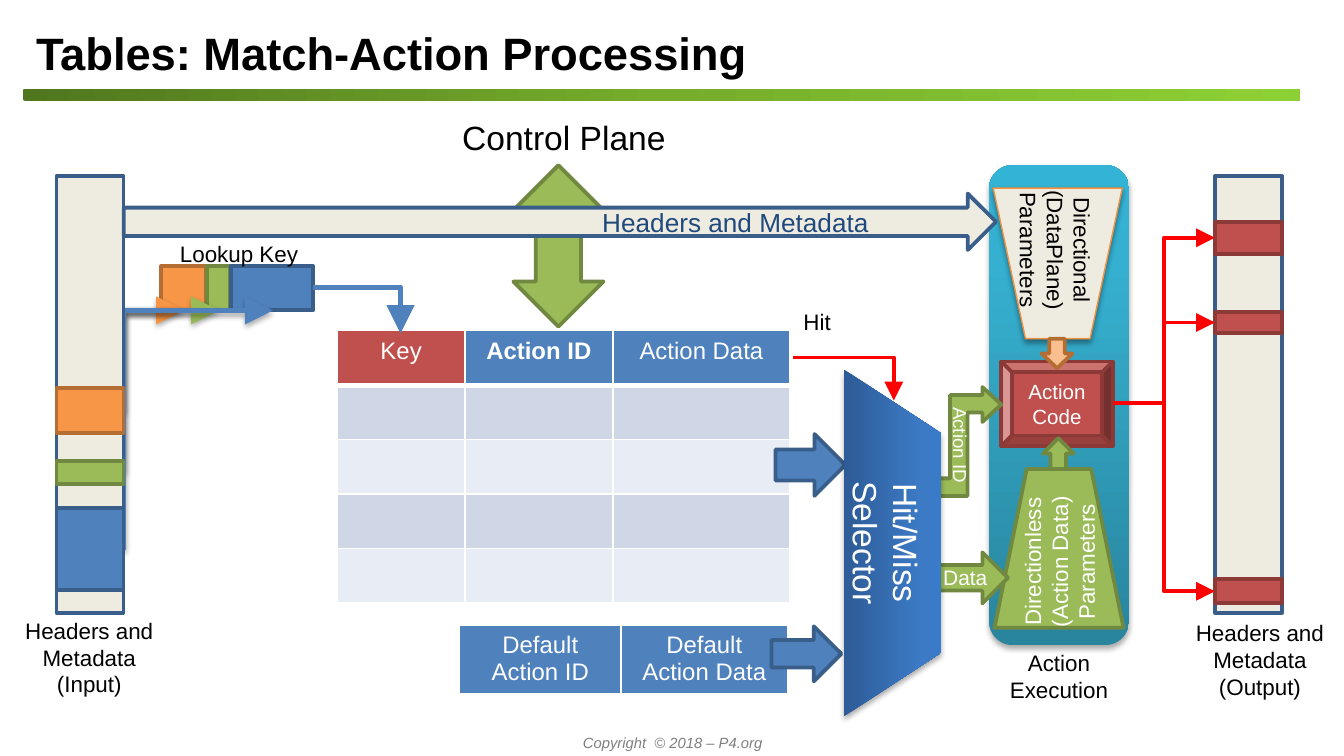
from copy import deepcopy

from lxml import etree
from pptx import Presentation
from pptx import util as u
from pptx.dml.color import RGBColor
from pptx.enum import shapes, text
from pptx.oxml.ns import qn

KIND = shapes.MSO_SHAPE
ALIGN = text.PP_ALIGN
CREAM, BLUE, GREEN = "EEECE1", "4F81BD", "9BBB59"
ORANGE, RED, PEACH = "F79646", "C0504D", "FABF8E"
WHITE, BLACK, ARROW = "FFFFFF", "000000", "FF0000"
EDGE = {CREAM: "395E89", BLUE: "395E89", GREEN: "718840",
        ORANGE: "B46D33", RED: "8C3A38", PEACH: "B46D33"}
PAD = (0.1, 0.05, 0.1, 0.05)
BARE = (0, 0, 0, 0)


def cm(*vals):
    """Lengths on the 10-inch grid, as a list of Cm."""
    return [u.Cm(2.54 * v) for v in vals]


def hue(code):
    return RGBColor.from_string(code)


def sub(node, tag, **attrs):
    return etree.SubElement(node, qn(tag), {k: str(v) for k, v in attrs.items()})


def style(par, size, color, bold=False, italic=False, align=ALIGN.CENTER):
    par.alignment = align
    font = par.font
    font.name, font.size = "Arial", u.Pt(size)
    font.bold, font.italic = bold, italic
    font.color.rgb = hue(color)


def write(item, words, size, color=BLACK, pad=PAD, mid=True, **look):
    frame = item.text_frame
    frame.word_wrap = True
    frame.vertical_anchor = text.MSO_ANCHOR.MIDDLE if mid else text.MSO_ANCHOR.TOP
    (frame.margin_left, frame.margin_top,
     frame.margin_right, frame.margin_bottom) = cm(*pad)
    frame.text = words
    for par in frame.paragraphs:
        style(par, size, color, **look)
    return frame


def label(slide, box, words, size=12, color=BLACK, turn=0, mid=False, **look):
    item = slide.shapes.add_textbox(*cm(*box))
    item.rotation = turn
    return write(item, words, size, color, mid=mid, **look)


def shade(node, alpha=33, dist=1.8):
    """Soft shadow that falls straight down."""
    drop = sub(node, "a:outerShdw", blurRad=u.Pt(3.1), dist=u.Pt(dist),
               dir=5400000, rotWithShape=0)
    sub(sub(drop, "a:srgbClr", val=BLACK), "a:alpha", val=alpha * 1000)


def cast(item, **opts):
    shade(item._element.spPr.find(qn("a:effectLst")), **opts)


def paint(item, fill, edge=None, width=2):
    item.shadow.inherit = False
    item.fill.solid()
    item.fill.fore_color.rgb = hue(fill)
    item.line.color.rgb = hue(edge or EDGE[fill])
    item.line.width = u.Pt(width)


def shape(slide, kind, box, fill, turn=0, adj=(), **line):
    item = slide.shapes.add_shape(kind, *cm(*box))
    item.rotation = turn
    for i, val in enumerate(adj):
        item.adjustments[i] = val
    paint(item, fill, **line)
    return item


def blend(slide, kind, box, stops, angle, **opts):
    """Borderless shape with a three-stop gradient."""
    item = shape(slide, kind, box, BLUE, **opts)
    item.line.fill.background()
    item.fill.gradient()
    item.fill.gradient_angle = angle
    row = item._element.spPr.find(qn("a:gradFill")).find(qn("a:gsLst"))
    row.insert(1, deepcopy(row[0]))
    for stop, (pos, color) in zip(item.fill.gradient_stops, stops):
        stop.position = pos
        stop.color.rgb = hue(color)
    return item


def elbow(slide, start, end, color, width, bends=2, rise=False, soft=False):
    """Bent arrow; with rise it goes up first, then right."""
    (x1, y1), (x2, y2) = start, end
    if rise:
        mx, my = (x1 + x2) / 2, (y1 + y2) / 2
        dx, dy = (y1 - y2) / 2, (x2 - x1) / 2
        x1, y1, x2, y2 = mx - dx, my - dy, mx + dx, my + dy
    line = slide.shapes.add_connector(shapes.MSO_CONNECTOR.ELBOW, *cm(x1, y1, x2, y2))
    line.line.color.rgb = hue(color)
    line.line.width = u.Pt(width)
    prop = line._element.spPr
    if bends == 1:
        prop.find(qn("a:prstGeom")).set("prst", "bentConnector2")
    if rise:
        prop.find(qn("a:xfrm")).set("rot", "16200000")
    sub(prop.find(qn("a:ln")), "a:tailEnd", type="triangle", w="lg", len="lg")
    node = sub(prop, "a:effectLst")
    if soft:
        shade(node)


def border(cell, low):
    prop = cell._tc.get_or_add_tcPr()
    for i, (tag, width) in enumerate([("a:lnL", 1), ("a:lnR", 1), ("a:lnT", 1), ("a:lnB", low)]):
        line = sub(prop, tag, w=u.Pt(width))
        sub(sub(line, "a:solidFill"), "a:srgbClr", val=WHITE)
        prop.insert(i, line)


def grid(slide, left, top, cols, heads, fills, bold=""):
    """Table with one head row; fills holds the colours of each row."""
    high = u.Cm(1.03)
    frame = slide.shapes.add_table(len(fills), len(cols),
                                   *cm(left, top, sum(cols)), high * len(fills))
    table = frame.table
    table.horz_banding = table.first_row = False
    for col, wide in zip(table.columns, cols):
        col.width = cm(wide)[0]
    for r, row in enumerate(fills):
        table.rows[r].height = high
        for c, color in enumerate(row):
            cell = table.cell(r, c)
            cell.fill.solid()
            cell.fill.fore_color.rgb = hue(color)
            border(cell, 1 if r else 3)
            if r == 0:
                cell.text = heads[c]
                style(cell.text_frame.paragraphs[0], 12.8, WHITE, bold=heads[c] == bold)


def stack(slide, left, name, spot, bands):
    """Column of header data with its bands and its caption."""
    label(slide, (*spot, 1.17, 0.71), "Headers and Metadata\n" + name)
    shape(slide, KIND.RECTANGLE, (left, 1.31, 0.5, 3.25), CREAM)
    for y, high, color in bands:
        shape(slide, KIND.RECTANGLE, (left, y, 0.5, high), color)


def action(slide):
    panel = blend(slide, KIND.ROUNDED_RECTANGLE, (7.36, 1.23, 1.04, 3.57),
                  [(0, "29859E"), (0.8, "36B0D0"), (1, "33B3D5")], 90, adj=[0.167])
    cast(panel)
    cup = shape(slide, KIND.TRAPEZOID, (7.39, 1.4, 0.96, 1.12), CREAM, 180,
                edge="F5913F", width=0.75)
    cast(cup, alpha=36, dist=1.6)
    label(slide, (7.4, 1.54, 0.93, 0.64), "Directional (DataPlane) Parameters",
          turn=90, mid=True, pad=(0, 0.02, 0, 0))
    shape(slide, KIND.TRAPEZOID, (7.4, 3.49, 0.96, 1.18), GREEN)
    label(slide, (7.39, 3.86, 0.98, 0.64), "Directionless (Action Data) Parameters",
          color=WHITE, turn=270, mid=True, pad=BARE)
    code = shape(slide, KIND.BEVEL, (7.45, 2.69, 0.83, 0.63), RED)
    write(code, "Action Code", 11, WHITE)
    shape(slide, KIND.UP_ARROW, (7.76, 3.26, 0.23, 0.23), GREEN)
    shape(slide, KIND.UP_ARROW, (7.75, 2.52, 0.23, 0.22), PEACH, 180)
    label(slide, (7.36, 4.78, 1.04, 0.5), "Action Execution")


def lookup(slide):
    for left, wide, color in [(1.2, 0.33, ORANGE), (1.54, 0.17, GREEN), (1.72, 0.61, BLUE)]:
        shape(slide, KIND.RECTANGLE, (left, 1.98, wide, 0.33), color)
    label(slide, (1.24, 1.74, 1.09, 0.3), "Lookup Key", align=ALIGN.LEFT)
    for y, x, color in [(3.06, 1.37, ORANGE), (3.51, 1.63, GREEN), (4.09, 2.03, BLUE)]:
        elbow(slide, (0.92, y), (x, 2.31), color, 3, bends=1, rise=True, soft=True)


def match(slide):
    dark, pale = ["CFD7E7"] * 3, ["E8ECF4"] * 3
    grid(slide, 2.51, 2.46, [0.95, 1.1, 1.32], ["Key", "Action ID", "Action Data"],
         [[RED, BLUE, BLUE], dark, pale, dark, pale], bold="Action ID")
    grid(slide, 3.42, 4.65, [1.2, 1.24], ["Default Action ID", "Default Action Data"],
         [[BLUE, BLUE]])
    elbow(slide, (2.33, 2.14), (2.98, 2.48), BLUE, 3, bends=1)
    shape(slide, KIND.RIGHT_ARROW, (5.77, 3.23, 0.52, 0.46), BLUE)
    shape(slide, KIND.RIGHT_ARROW, (5.74, 4.66, 0.52, 0.41), BLUE)
    elbow(slide, (5.9, 2.66), (6.65, 2.98), ARROW, 2, bends=1)
    label(slide, (5.88, 2.24, 0.41, 0.3), "Hit", align=ALIGN.LEFT)
    shape(slide, KIND.UP_DOWN_ARROW, (3.82, 1.23, 0.67, 1.2), GREEN, adj=[0.33, 0.5])
    label(slide, (3.34, 0.82, 1.73, 0.38), "Control Plane", 18, align=ALIGN.LEFT)
    data = shape(slide, KIND.RIGHT_ARROW, (6.96, 4.11, 0.54, 0.38), GREEN)
    write(data, "Data", 11.2, WHITE, pad=(0, 0.02, 0, 0)).paragraphs[0].line_spacing = 0.8


def choose(slide):
    """Bent action arrow, hit/miss selector and the long top arrow."""
    pts = [(7.31, 2.88), (7.45, 3.01), (7.31, 3.14), (7.31, 3.07), (7.2, 3.07),
           (7.2, 3.69), (6.78, 3.69), (6.78, 3.56), (7.07, 3.56), (7.07, 2.94),
           (7.31, 2.94)]
    pen = slide.shapes.build_freeform(*cm(*pts[0]))
    pen.add_line_segments([cm(*p) for p in pts[1:]], close=True)
    paint(pen.convert_to_shape(), GREEN)
    label(slide, (6.85, 3.24, 0.59, 0.17), "Action ID", 10, WHITE, 90,
          pad=BARE, align=ALIGN.LEFT)
    pick = blend(slide, KIND.TRAPEZOID, (5.35, 3.68, 2.58, 0.72),
                 [(0, "2D5C97"), (0.8, "3C7AC5"), (1, "397BC9")], 90, turn=90, adj=[0.656])
    cast(pick)
    write(pick, "Hit/Miss Selector", 18, WHITE)
    flow = shape(slide, KIND.RIGHT_ARROW, (0.92, 1.44, 6.49, 0.42), CREAM)
    par = write(flow, "Headers and Metadata", 14, "1F497D").paragraphs[0]
    prop = par._p.get_or_add_pPr()
    for name, size in zip(("marL", "indent"), cm(2.75, -0.03)):
        prop.set(name, str(size))


def main():
    deck = Presentation()
    deck.slide_width = u.Cm(25.4)
    deck.slide_height = u.Cm(25.4 * 9 / 16)
    slide = deck.slides.add_slide(deck.slide_layouts[6])
    label(slide, (1.17, 5.41, 7.67, 0.23), "Copyright  © 2018 – P4.org", 7.9,
          "7F7F7F", italic=True)
    blend(slide, KIND.ROUNDED_RECTANGLE, (0.17, 0.66, 9.5, 0.09),
          [(0, "50771E"), (0.5, "76AD2B"), (1, "8DD034")], 0, adj=[0.167])
    action(slide)
    label(slide, (0.17, 0.14, 9.5, 0.52), "Tables: Match-Action Processing", 24.3,
          bold=True, align=ALIGN.LEFT)
    lookup(slide)
    match(slide)
    stack(slide, 0.42, "(Input)", (0.08, 4.54),
          [(3.78, 0.61, BLUE), (3.43, 0.17, GREEN), (2.89, 0.33, ORANGE)])
    outs = [(1.65, 0.24, RED), (2.32, 0.16, RED), (4.31, 0.18, RED)]
    stack(slide, 9.04, "(Output)", (8.79, 4.56), outs)
    for y, high, _ in outs:
        elbow(slide, (8.28, 3), (9.04, y + high / 2), ARROW, 2)
    choose(slide)
    deck.save("out.pptx")


if __name__ == "__main__":
    main()
